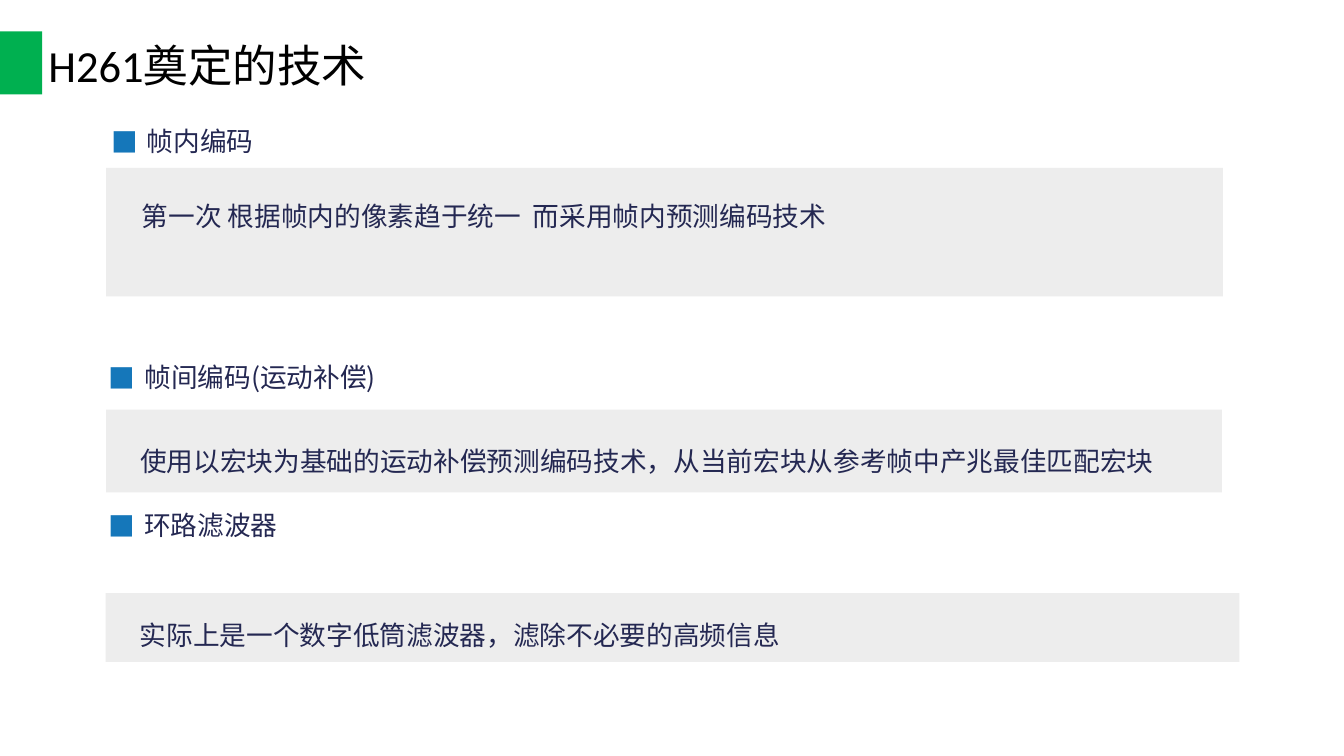
from lxml import etree
from pptx import Presentation
from pptx import util as u
from pptx.dml.color import RGBColor
from pptx.enum import shapes, text
from pptx.oxml.ns import qn

CJK_FONT = "Noto Sans CJK SC"


def color(value):
    return RGBColor.from_string(value)


def write(frame, content, size=36, font=CJK_FONT, fill="242852", spacing=1.5,
          bullet=None, bullet_fill="1577BA", indent=1.7):
    paragraph = frame.paragraphs[0]
    paragraph.alignment = text.PP_ALIGN.LEFT
    paragraph.line_spacing = spacing
    if bullet:
        properties = paragraph._p.get_or_add_pPr()
        properties.set("marL", str(u.Cm(indent)))
        properties.set("indent", str(-u.Cm(indent)))
        bullet_color = etree.SubElement(properties, qn("a:buClr"))
        etree.SubElement(bullet_color, qn("a:srgbClr"), val=bullet_fill)
        etree.SubElement(properties, qn("a:buFont"), typeface=CJK_FONT)
        etree.SubElement(properties, qn("a:buChar"), char=bullet)
    run = paragraph.add_run()
    run.text = content
    run.font.size = u.Pt(size)
    run.font.name = font
    run.font.color.rgb = color(fill)
    latin = run._r.rPr.find(qn("a:latin"))
    latin.addnext(etree.Element(qn("a:ea"), typeface=CJK_FONT))


class SlideBuilder:
    panel_fill = "EDEDED"
    accent = "00B050"

    def __init__(self, slide):
        self.slide = slide

    def rectangle(self, left, top, width, height, fill):
        shape = self.slide.shapes.add_shape(
            shapes.MSO_SHAPE.RECTANGLE,
            u.Cm(left), u.Cm(top), u.Cm(width), u.Cm(height))
        shape.shadow.inherit = False
        shape.fill.solid()
        shape.fill.fore_color.rgb = color(fill)
        shape.line.fill.background()

    def text_box(self, left, top, width, height, content, inset=0.13,
                 anchor=text.MSO_ANCHOR.TOP, grow=True, **style):
        box = self.slide.shapes.add_textbox(
            u.Cm(left), u.Cm(top), u.Cm(width), u.Cm(height))
        frame = box.text_frame
        frame.word_wrap = True
        frame.auto_size = (text.MSO_AUTO_SIZE.SHAPE_TO_FIT_TEXT if grow
                           else text.MSO_AUTO_SIZE.NONE)
        frame.vertical_anchor = anchor
        frame.margin_left = frame.margin_right = u.Cm(inset)
        frame.margin_top = frame.margin_bottom = u.Cm(0.13)
        write(frame, content, **style)

    def title(self, content):
        self.rectangle(0, 1.5, 2.01, 3, self.accent)
        self.text_box(2.06, -0.23, 55.2, 6.96, content, inset=0.25,
                      anchor=text.MSO_ANCHOR.MIDDLE, grow=False,
                      size=60, font="Calibri", fill="000000", spacing=0.9)

    def section(self, heading, heading_box, panel_box, body, body_box, inset):
        self.rectangle(*panel_box, self.panel_fill)
        self.text_box(*heading_box, heading, inset=inset, bullet="■")
        self.text_box(*body_box, body, inset=inset)


def main():
    presentation = Presentation()
    presentation.slide_width = u.Cm(64.01)
    presentation.slide_height = u.Cm(36)
    slide = presentation.slides.add_slide(presentation.slide_layouts[6])
    builder = SlideBuilder(slide)

    # Title with its green marker
    builder.title("H261奠定的技术")

    # Sections: heading, its box, panel, body, its box, side inset
    sections = [
        ("帧内编码", (5.05, 5.05, 51.13, 2.31), (5.05, 8, 53.19, 6.12),
         "第一次 根据帧内的像素趋于统一  而采用帧内预测编码技术",
         (6.5, 8.61, 50.57, 1.8), 0.25),
        ("帧间编码(运动补偿)", (5.05, 16.31, 49.2, 2.57), (5.05, 19.51, 53.14, 3.94),
         "使用以宏块为基础的运动补偿预测编码技术，从当前宏块从参考帧中产兆最佳匹配宏块",
         (6.55, 20.27, 49.2, 4.62), 0.13),
        ("环路滤波器", (5.03, 23.32, 49.2, 2.31), (5.03, 28.24, 54, 3.28),
         "实际上是一个数字低筒滤波器，滤除不必要的高频信息",
         (6.53, 28.6, 49.2, 2.57), 0.13),
    ]
    for section in sections:
        builder.section(*section)

    presentation.save("out.pptx")


if __name__ == "__main__":
    main()
